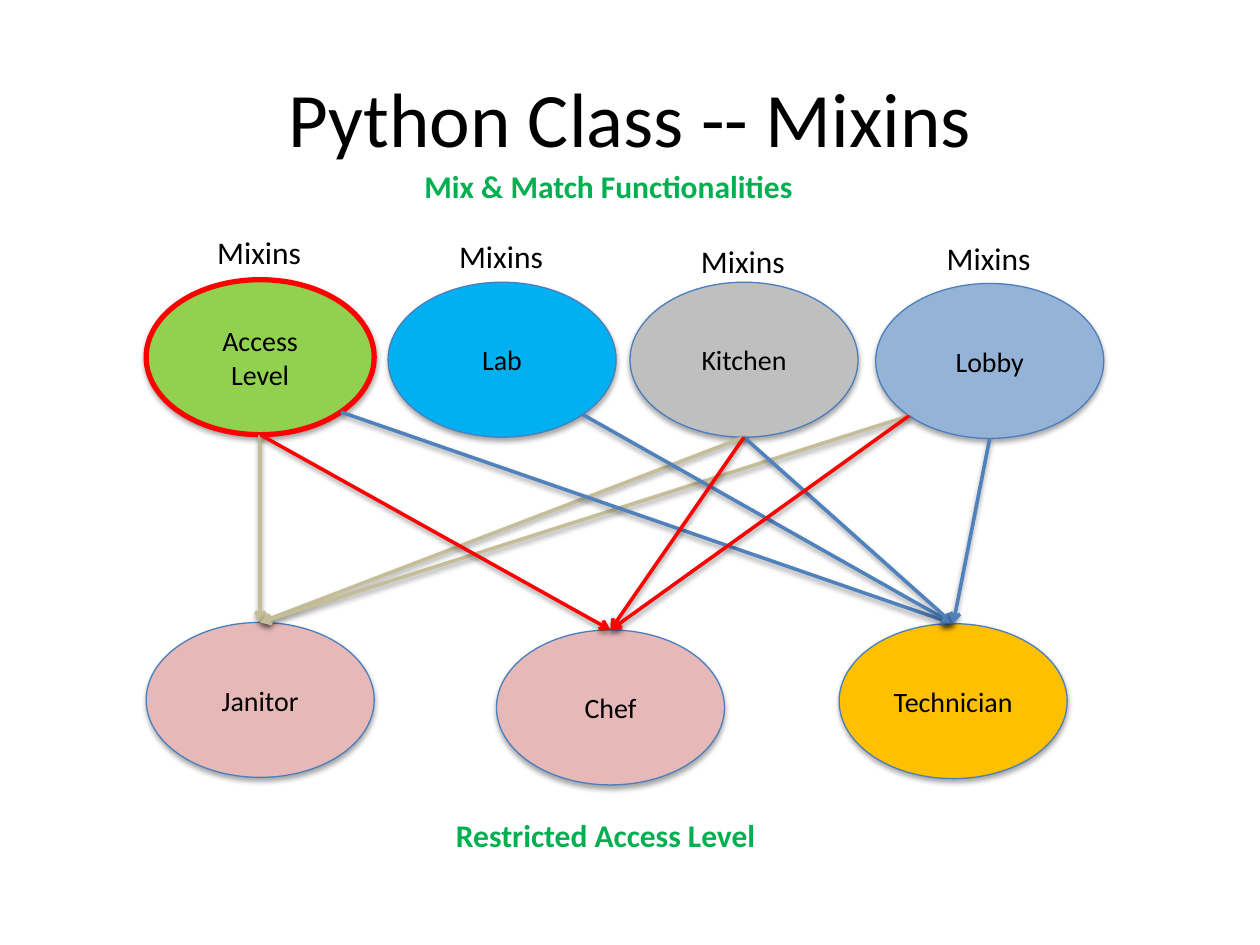
from math import cos, pi, sin

from lxml.etree import SubElement
from pptx import Presentation
from pptx.dml.color import RGBColor
from pptx.enum.shapes import MSO_CONNECTOR, MSO_SHAPE
from pptx.enum.text import MSO_ANCHOR, MSO_AUTO_SIZE, PP_ALIGN
from pptx.oxml.ns import qn
from pptx.util import Inches, Pt

BLACK = RGBColor(0x00, 0x00, 0x00)
RED = RGBColor(0xFF, 0x00, 0x00)
HEADING_GREEN = RGBColor(0x00, 0xB0, 0x50)
ACCESS_GREEN = RGBColor(0x92, 0xD0, 0x50)
LAB_BLUE = RGBColor(0x00, 0xB0, 0xF0)
KITCHEN_GRAY = RGBColor(0xBF, 0xBF, 0xBF)
LOBBY_BLUE = RGBColor(0x95, 0xB3, 0xD7)
ROLE_PINK = RGBColor(0xE6, 0xB9, 0xB8)
TECHNICIAN_GOLD = RGBColor(0xFF, 0xC0, 0x00)
OUTLINE_BLUE = RGBColor(0x4B, 0x7E, 0xBC)
ARROW_TAN = RGBColor(0xC4, 0xBD, 0x97)
ARROW_BLUE = RGBColor(0x4F, 0x81, 0xBD)

FONT = "Calibri"
OVAL_WIDTH, OVAL_HEIGHT = 1.81, 1.23
LABEL_WIDTH, LABEL_HEIGHT = 0.88, 0.4
TOP, BOTTOM_RIGHT, BOTTOM, BOTTOM_LEFT = -pi / 2, pi / 4, pi / 2, 3 * pi / 4

MIXINS = {
    "Access\nLevel": (1.16, 2.22, ACCESS_GREEN, 1.8),
    "Lab": (3.08, 2.24, LAB_BLUE, 1.83),
    "Kitchen": (5, 2.24, KITCHEN_GRAY, 1.87),
    "Lobby": (6.95, 2.25, LOBBY_BLUE, 1.85),
}
ROLES = {
    "Janitor": (1.16, 4.94, ROLE_PINK),
    "Technician": (6.66, 4.95, TECHNICIAN_GOLD),
    "Chef": (3.94, 5, ROLE_PINK),
}
LINKS = {
    "Janitor": (ARROW_TAN, {"Access\nLevel": BOTTOM, "Kitchen": BOTTOM, "Lobby": BOTTOM_LEFT}),
    "Technician": (ARROW_BLUE, {"Access\nLevel": BOTTOM_RIGHT, "Lab": BOTTOM_RIGHT,
                                "Kitchen": BOTTOM, "Lobby": BOTTOM}),
    "Chef": (RED, {"Access\nLevel": BOTTOM, "Kitchen": BOTTOM, "Lobby": BOTTOM_LEFT}),
}


def add_shadow(shape, opacity, distance):
    """Give a shape a soft shadow straight below it."""
    effects = SubElement(shape._element.spPr, qn("a:effectLst"))
    shadow = SubElement(effects, qn("a:outerShdw"), blurRad=str(Pt(3.1)),
                        dist=str(Pt(distance)), dir="5400000", rotWithShape="0")
    color = SubElement(shadow, qn("a:srgbClr"), val=str(BLACK))
    SubElement(color, qn("a:alpha"), val=str(opacity * 1000))


def format_text(text_frame, size, color, alignment, bold=False):
    """Apply one look to every paragraph."""
    for paragraph in text_frame.paragraphs:
        paragraph.alignment = alignment
        paragraph.font.name = FONT
        paragraph.font.size = Pt(size)
        paragraph.font.bold = bold
        paragraph.font.color.rgb = color


def add_label(slide, text, left, top, width, color=BLACK, bold=False):
    """Add a single-line text box."""
    label = slide.shapes.add_textbox(Inches(left), Inches(top), Inches(width), Inches(LABEL_HEIGHT))
    label.text_frame.text = text
    label.text_frame.word_wrap = False
    label.text_frame.auto_size = MSO_AUTO_SIZE.SHAPE_TO_FIT_TEXT
    format_text(label.text_frame, 18, color, PP_ALIGN.LEFT, bold)


def add_oval(slide, text, left, top, fill, outline=OUTLINE_BLUE, outline_width=0.75):
    """Add a named class oval."""
    oval = slide.shapes.add_shape(MSO_SHAPE.OVAL, Inches(left), Inches(top),
                                  Inches(OVAL_WIDTH), Inches(OVAL_HEIGHT))
    oval.fill.solid()
    oval.fill.fore_color.rgb = fill
    oval.line.color.rgb = outline
    oval.line.width = Pt(outline_width)
    add_shadow(oval, 35, 1.8)
    oval.text_frame.text = text
    oval.text_frame.vertical_anchor = MSO_ANCHOR.MIDDLE
    format_text(oval.text_frame, 16, BLACK, PP_ALIGN.CENTER)


def rim_point(left, top, angle):
    """Return the point on an oval's rim at an angle."""
    return (Inches(left + OVAL_WIDTH / 2 * (1 + cos(angle))),
            Inches(top + OVAL_HEIGHT / 2 * (1 + sin(angle))))


def add_arrow(slide, start, end, color):
    """Add an open-headed arrow between two points."""
    arrow = slide.shapes.add_connector(MSO_CONNECTOR.STRAIGHT, *start, *end)
    arrow.line.color.rgb = color
    arrow.line.width = Pt(2)
    SubElement(arrow.line._get_or_add_ln(), qn("a:tailEnd"), type="arrow")
    add_shadow(arrow, 38, 1.6)


def add_headings(slide):
    """Fill the title and add the two green headings."""
    title = slide.shapes.title
    title.left, title.top, title.width, title.height = map(Inches, (0.5, 0.3, 9, 1.25))
    title.text_frame.text = "Python Class -- Mixins"
    title.text_frame.vertical_anchor = MSO_ANCHOR.MIDDLE
    format_text(title.text_frame, 44, BLACK, PP_ALIGN.CENTER)
    add_label(slide, "Mix & Match Functionalities", 3.27, 1.28, 3.15, HEADING_GREEN, True)
    add_label(slide, "Restricted Access Level", 3.52, 6.43, 2.62, HEADING_GREEN, True)


def add_mixins(slide):
    """Add the upper row of mixin ovals with their labels."""
    for name, (left, top, fill, label_top) in MIXINS.items():
        outline = (RED, 3) if fill == ACCESS_GREEN else (OUTLINE_BLUE, 0.75)
        add_oval(slide, name, left, top, fill, *outline)
        add_label(slide, "Mixins", left + (OVAL_WIDTH - LABEL_WIDTH) / 2, label_top, LABEL_WIDTH)


def add_roles(slide):
    """Add the lower row of roles and the arrows leading to each."""
    for role, (left, top, fill) in ROLES.items():
        add_oval(slide, role, left, top, fill)
        color, sources = LINKS[role]
        for mixin, angle in sources.items():
            start = rim_point(*MIXINS[mixin][:2], angle)
            add_arrow(slide, start, rim_point(left, top, TOP), color)


presentation = Presentation()
presentation.slide_width, presentation.slide_height = Inches(10), Inches(7.5)
mixins_slide = presentation.slides.add_slide(presentation.slide_layouts[5])
add_headings(mixins_slide)
add_mixins(mixins_slide)
add_roles(mixins_slide)
presentation.save("out.pptx")
